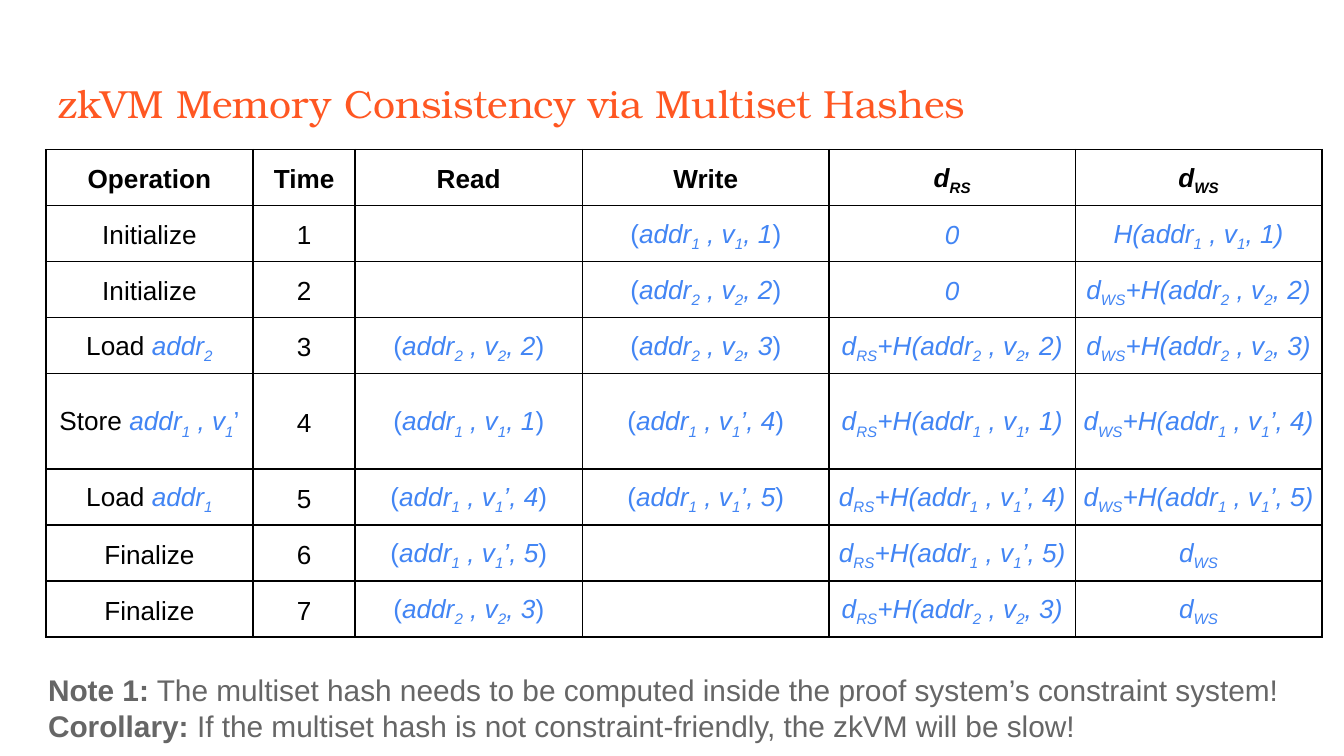
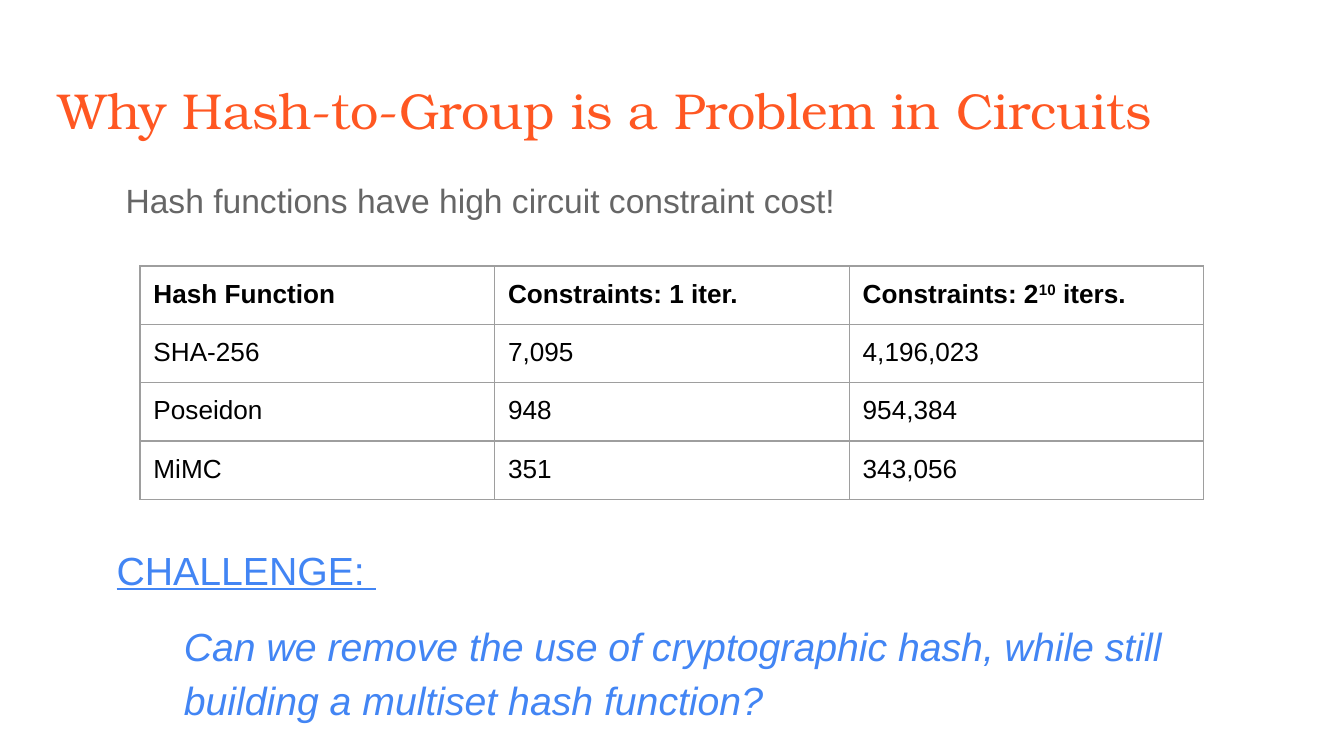
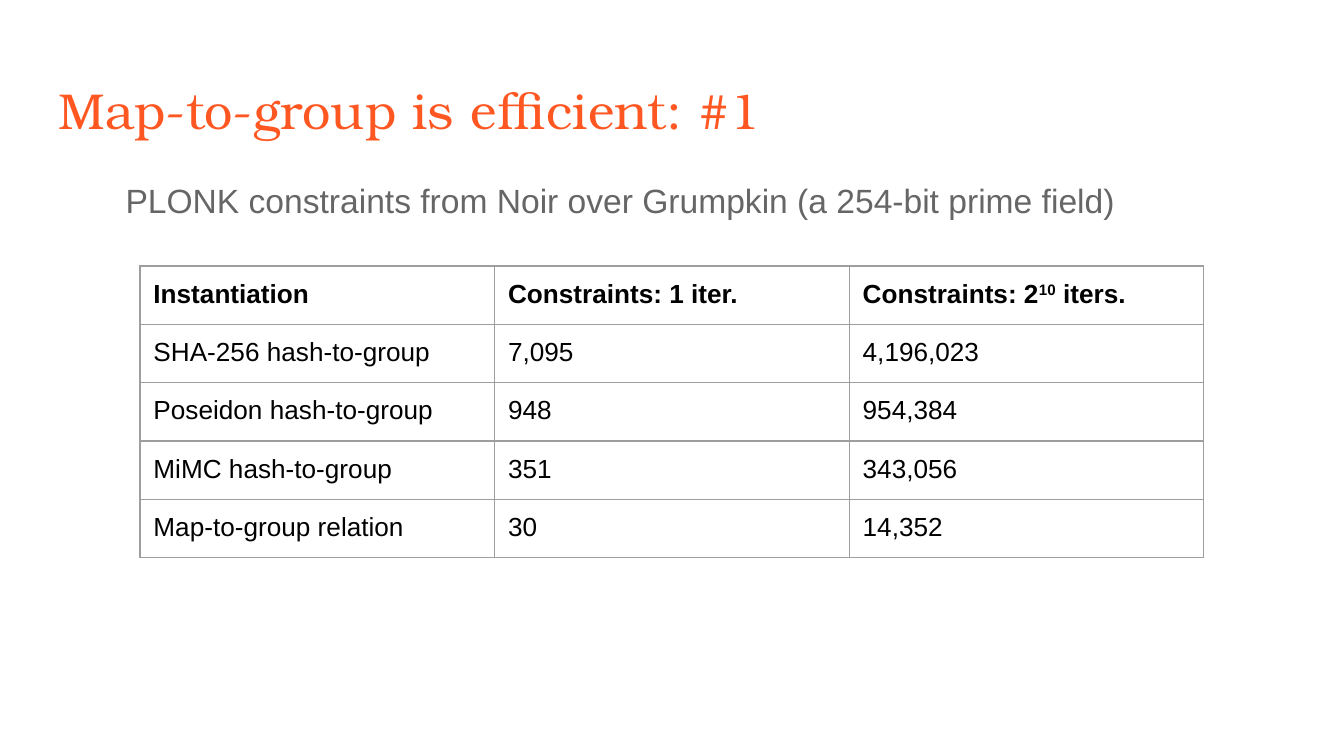
from pptx import Presentation
from pptx.dml.color import RGBColor
from pptx.enum import text as t
from pptx.oxml import parse_xml
from pptx.oxml.ns import nsdecls
from pptx.util import Pt

HUE = {"title": "FF5722", "body": "666666", "ink": "000000",
       "blue": "4285F4", "grid": "9E9E9E"}
SANS, SERIF = "Arial", "TeX Gyre Bonum"
PAD = 7.2
HEAD = (24.5, 35.3, 671, 45)
SHIFT = {"_": "-25000", "^": "30000"}


def write(par, runs, size, hue, face=SANS, bold=None):
    font = par.font
    font.name, font.size, font.bold = face, Pt(size), bold
    font.color.rgb = RGBColor.from_string(HUE[hue])
    for words, marks in [(runs, "")] if isinstance(runs, str) else runs:
        run = par.add_run()
        run.text = words
        if "b" in marks:
            run.font.bold = True
        if "i" in marks:
            run.font.italic = True
        if "u" in marks:
            run.font.underline = True
        if "c" in marks:
            run.font.color.rgb = RGBColor.from_string(HUE["blue"])
        for mark in SHIFT:
            if mark in marks:
                run.font._element.set("baseline", SHIFT[mark])


def label(slide, box, lines, size, hue, face=SANS):
    frame = slide.shapes.add_textbox(*map(Pt, box)).text_frame
    frame.word_wrap = True
    frame.margin_left = frame.margin_right = Pt(PAD)
    frame.margin_top = frame.margin_bottom = Pt(PAD)
    for n, runs in enumerate(lines):
        par = frame.add_paragraph() if n else frame.paragraphs[0]
        write(par, runs, size, hue, face)
    return frame.paragraphs


def title(slide, words, size):
    label(slide, HEAD, [words], size, "title", SERIF)


def edge(cell, hue, width):
    props = cell._tc.get_or_add_tcPr()
    for side in "LRTB":
        props.append(parse_xml(
            f'<a:ln{side} {nsdecls("a")} w="{Pt(width)}"><a:solidFill>'
            f'<a:srgbClr val="{HUE[hue]}"/></a:solidFill></a:ln{side}>'))
    cell.fill.background()


def grid(slide, spot, cols, highs, rows, hue, width, pad, mid=False):
    table = slide.shapes.add_table(
        len(rows), len(cols), *map(Pt, (*spot, sum(cols), sum(highs)))).table
    table.first_row = table.horz_banding = False
    for col, wide in zip(table.columns, cols):
        col.width = Pt(wide)
    for r, (row, high) in enumerate(zip(rows, highs)):
        table.rows[r].height = Pt(high)
        for c, runs in enumerate(row):
            cell = table.cell(r, c)
            cell.margin_left = cell.margin_right = Pt(pad)
            cell.margin_top = cell.margin_bottom = Pt(pad)
            edge(cell, hue, width)
            par = cell.text_frame.paragraphs[0]
            if mid:
                cell.vertical_anchor = t.MSO_ANCHOR.MIDDLE
                par.alignment = t.PP_ALIGN.CENTER
                par.line_spacing = 1.15
            write(par, runs, 14, "ink", bold=r == 0)


def addr(slot):
    return [("addr", "ci"), (slot, "ci_")]


def value(slot):
    return [(" , v", "ci"), (slot, "ci_")]


def entry(slot, tail):
    return [("(", "c"), *addr(slot), *value(slot), (tail, "ci"), (")", "c")]


def digest(name, item, first):
    past = [("d", "ci"), (name, "ci_")]
    if not item:
        return [("0", "ci")] if first else past
    slot, tail = item
    lead = [("H(addr", "ci")] if first else past + [("+H(addr", "ci")]
    return lead + [(slot, "ci_"), *value(slot), (tail + ")", "ci")]


def trace(slide, spot):
    steps = [
        ("Initialize", None, ("1", ", 1")),
        ("Initialize", None, ("2", ", 2")),
        ([("Load ", ""), *addr("2")], ("2", ", 2"), ("2", ", 3")),
        ([("Store ", ""), *addr("1"), *value("1"), ("’", "c")],
         ("1", ", 1"), ("1", "’, 4")),
        ([("Load ", ""), *addr("1")], ("1", "’, 4"), ("1", "’, 5")),
        ("Finalize", ("1", "’, 5"), None),
        ("Finalize", ("2", ", 3"), None),
    ]
    rows = [["Operation", "Time", "Read", "Write",
             [("d", "i"), ("RS", "i_")], [("d", "i"), ("WS", "i_")]]]
    for n, (act, read, put) in enumerate(steps, 1):
        rows.append([act, str(n), entry(*read) if read else [],
                     entry(*put) if put else [],
                     digest("RS", read, n < 3), digest("WS", put, n == 1)])
    highs = [29.2] * 4 + [51] + [29.2] * 3
    grid(slide, spot, [111.2, 54.5, 122] + [132] * 3, highs, rows,
         "ink", 1, 4, True)


def memory(slide):
    title(slide, "zkVM Memory Consistency via Multiset Hashes", 21)
    trace(slide, (24.5, 80.2))
    label(slide, (18.7, 352.8, 695.5, 53.3), [
        [("Note 1:", "b"), (" The multiset hash needs to be computed inside "
                            "the proof system’s constraint system!", "")],
        [("Corollary: ", "b"), ("If the multiset hash is not "
                                "constraint-friendly, the zkVM will be slow!", "")],
    ], 16, "body")


def costs(slide, head, lead, wide, kind, tail="", more=()):
    title(slide, head, 27)
    label(slide, (60.2, 89.3, wide, 33.8), [lead], 18, "body")
    rows = [[kind, "Constraints: 1 iter.",
             [("Constraints: 2", ""), ("10", "^"), (" iters.", "")]],
            ["SHA-256" + tail, "7,095", "4,196,023"],
            ["Poseidon" + tail, "948", "954,384"],
            ["MiMC" + tail, "351", "343,056"], *more]
    grid(slide, (75, 142.5), [190] * 3, [30] * len(rows), rows,
         "grid", 0.75, PAD)


def ask(slide, box):
    pars = label(slide, box, [
        [("CHALLENGE: ", "u")],
        [("Can we remove the use of cryptographic hash, while still "
          "building a multiset hash function?", "i")],
    ], 21, "blue")
    for n, par in enumerate(pars, 1):
        par.line_spacing = 1.15
        par.space_before = Pt(12)
        par._p.get_or_add_pPr().set("marL", str(Pt(36 * n)))
    pars[-1].space_after = Pt(12)


def main():
    deck = Presentation()
    deck.slide_width, deck.slide_height = Pt(720), Pt(405)
    one, two, three = (deck.slides.add_slide(deck.slide_layouts[6])
                       for _ in range(3))
    memory(one)
    costs(two, "Why Hash-to-Group is a Problem in Circuits",
          "Hash functions have high circuit constraint cost!", 507,
          "Hash Function")
    ask(two, (19.4, 281.5, 680.4, 111))
    costs(three, "Map-to-group is efficient: #1",
          "PLONK constraints from Noir over Grumpkin (a 254-bit prime field)",
          585, "Instantiation", " hash-to-group",
          [["Map-to-group relation", "30", "14,352"]])
    deck.save("out.pptx")


if __name__ == "__main__":
    main()
